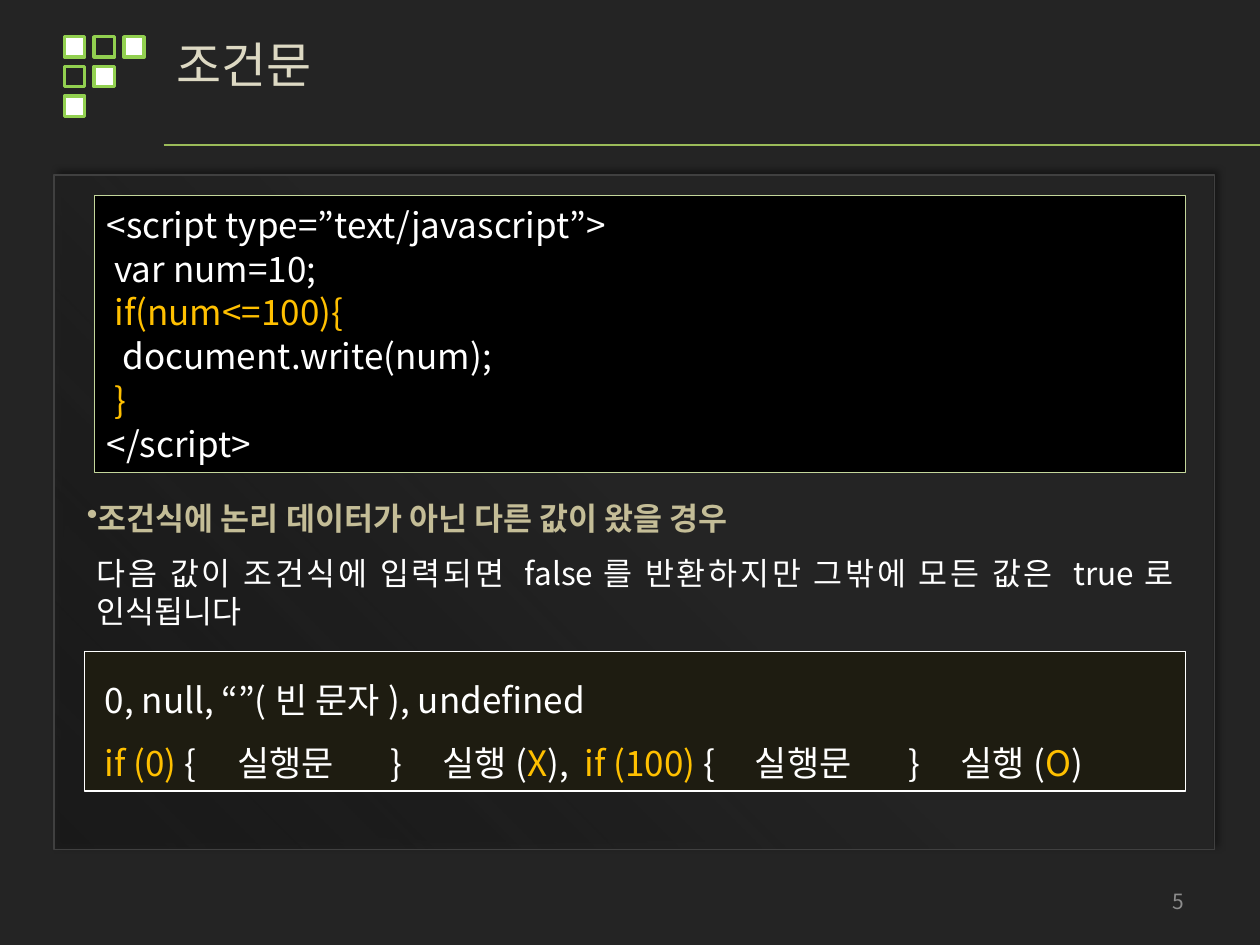
"""Build the conditional statement slide."""
from lxml.etree import SubElement
from pptx import Presentation
from pptx.dml.color import RGBColor
from pptx.enum.shapes import MSO_CONNECTOR, MSO_SHAPE
from pptx.enum.text import MSO_ANCHOR, PP_ALIGN
from pptx.oxml import parse_xml
from pptx.oxml.ns import nsdecls, qn
from pptx.util import Cm, Pt

FONT = "Noto Sans CJK KR"
COLORS = {
    "background": "242424", "corner": "191919", "panel_line": "404040",
    "square_line": "92D050", "rule": "9BBB59", "code_line": "C3D69B",
    "title": "DDD9C3", "heading": "C4BD97", "number": "8C8C8C",
    "white": "FFFFFF", "accent": "FFC000", "black": "000000", "example": "1E1C11",
}

TITLE = [[("조건문", "title")]]
HEADING = [[("조건식에 논리 데이터가 아닌 다른 값이 왔을 경우", "heading")]]
EXPLANATION = [[("다음 값이 조건식에 입력되면 false를 반환하지만 그밖에 모든 값은 true로 인식됩니다", "white")]]
PAGE_NUMBER = [[("5", "number")]]
CODE = [
    [("<script type=”text/javascript”>", "white")],
    [(" var num=10;", "white")],
    [(" if(num<=100){", "accent")],
    [("  document.write(num);", "white")],
    [(" ", "white"), ("}", "accent")],
    [("</script>", "white")],
]
BLOCK = "{\t실행문\t}\t실행("
EXAMPLES = [
    [("0, null, “”(빈 문자), undefined", "white")],
    [("if (0) ", "accent"), (BLOCK, "white"), ("X", "accent"), ("),\t", "white"),
     ("if (100) ", "accent"), (BLOCK, "white"), ("O", "accent"), (")", "white")],
]
BLOCK_TABS = (2.67, 5.77, 6.81)
SECOND_BLOCK_TAB = 9.68
BLOCK_PERIOD = 10.44

SQUARES = ("#o#", "o#", "#")
SQUARE_LEFT, SQUARE_TOP, SQUARE_SIZE, SQUARE_PITCH = 1.3, 0.74, 0.41, 0.6


def rgb(name):
    return RGBColor.from_string(COLORS[name])


def add_rectangle(slide, box, fill, line, width):
    shape = slide.shapes.add_shape(MSO_SHAPE.RECTANGLE, *map(Cm, box))
    shape.shadow.inherit = False
    if fill:
        shape.fill.solid()
        shape.fill.fore_color.rgb = rgb(fill)
    else:
        shape.fill.background()
    shape.line.color.rgb = rgb(line)
    shape.line.width = Pt(width)
    return shape


def add_text_box(slide, box):
    return slide.shapes.add_textbox(*map(Cm, box))


def write(shape, paragraphs, size, alignment=PP_ALIGN.LEFT, spacing=None,
          anchor=MSO_ANCHOR.TOP, bold=False):
    frame = shape.text_frame
    frame.word_wrap = True
    frame.vertical_anchor = anchor
    for index, runs in enumerate(paragraphs):
        paragraph = frame.add_paragraph() if index else frame.paragraphs[0]
        paragraph.alignment = alignment
        if spacing:
            paragraph.line_spacing = spacing
        for text, color in runs:
            run = paragraph.add_run()
            run.text = text
            run.font.size = Pt(size)
            run.font.bold = bold
            run.font.color.rgb = rgb(color)
            run.font.name = FONT
            SubElement(run.font._element, qn("a:ea"), typeface=FONT)
    return frame


def add_panel(slide):
    panel = add_rectangle(slide, (1.09, 3.53, 23.39, 13.59), "background", "panel_line", 0.75)
    properties = panel._element.spPr
    gradient = parse_xml(
        f'<a:gradFill {nsdecls("a")} rotWithShape="1"><a:gsLst>'
        f'<a:gs pos="0"><a:srgbClr val="{COLORS["corner"]}"><a:alpha val="62000"/></a:srgbClr></a:gs>'
        f'<a:gs pos="50000"><a:srgbClr val="{COLORS["background"]}"/></a:gs></a:gsLst>'
        '<a:path path="circle"><a:fillToRect t="100000" r="100000"/></a:path></a:gradFill>')
    properties.replace(properties.find(qn("a:solidFill")), gradient)
    shadow = parse_xml(
        f'<a:outerShdw {nsdecls("a")} blurRad="{Pt(4)}" dist="{Pt(3)}" dir="18900000" '
        f'algn="bl" rotWithShape="0"><a:srgbClr val="{COLORS["black"]}">'
        '<a:alpha val="40000"/></a:srgbClr></a:outerShdw>')
    properties.find(qn("a:effectLst")).append(shadow)


def add_decoration(slide):
    for row, pattern in enumerate(SQUARES):
        for column, mark in enumerate(pattern):
            box = (SQUARE_LEFT + column * SQUARE_PITCH, SQUARE_TOP + row * SQUARE_PITCH,
                   SQUARE_SIZE, SQUARE_SIZE)
            add_rectangle(slide, box, "white" if mark == "#" else None, "square_line", 2)
    rule = slide.shapes.add_connector(
        MSO_CONNECTOR.STRAIGHT, Cm(3.3), Cm(2.92), Cm(25.4), Cm(2.92))
    rule.line.color.rgb = rgb("rule")
    rule.line.width = Pt(1.25)
    SubElement(rule._element.spPr, qn("a:effectLst"))


def add_title(slide):
    title = slide.shapes.title
    title.left, title.top, title.width, title.height = map(Cm, (3.3, 0.56, 22, 2.16))
    write(title, TITLE, 28)


def add_examples(slide):
    box = add_rectangle(slide, (1.7, 13.13, 22.2, 2.82), "example", "white", 0.75)
    frame = write(box, EXAMPLES, 20, spacing=1.5)
    frame.margin_left = Cm(0.41)
    second_tabs = [tab + BLOCK_PERIOD for tab in BLOCK_TABS]
    tab_list = SubElement(frame.paragraphs[1]._p.get_or_add_pPr(), qn("a:tabLst"))
    for position in (*BLOCK_TABS, SECOND_BLOCK_TAB, *second_tabs):
        SubElement(tab_list, qn("a:tab"), pos=str(Cm(position)), algn="l")


def add_heading(slide):
    frame = write(add_text_box(slide, (1.5, 9.93, 22.6, 1.02)), HEADING, 18, bold=True)
    properties = frame.paragraphs[0]._p.get_or_add_pPr()
    properties.set("marL", "0")
    properties.set("indent", "0")
    SubElement(properties, qn("a:buChar"), char="•")


def main():
    presentation = Presentation()
    presentation.slide_width, presentation.slide_height = Cm(25.4), Cm(19.05)
    slide = presentation.slides.add_slide(presentation.slide_layouts[5])
    slide.background.fill.solid()
    slide.background.fill.fore_color.rgb = rgb("background")
    add_decoration(slide)
    add_panel(slide)
    add_title(slide)
    write(add_text_box(slide, (18.21, 17.65, 5.92, 1.02)), PAGE_NUMBER, 12,
          PP_ALIGN.RIGHT, anchor=MSO_ANCHOR.MIDDLE)
    code_box = add_rectangle(slide, (1.9, 3.94, 22, 5.59), "black", "code_line", 0.75)
    write(code_box, CODE, 20, PP_ALIGN.JUSTIFY, Pt(25))
    add_examples(slide)
    add_heading(slide)
    write(add_text_box(slide, (1.7, 11.05, 22.2, 1.8)), EXPLANATION, 18, PP_ALIGN.JUSTIFY)
    presentation.save("out.pptx")


if __name__ == "__main__":
    main()
